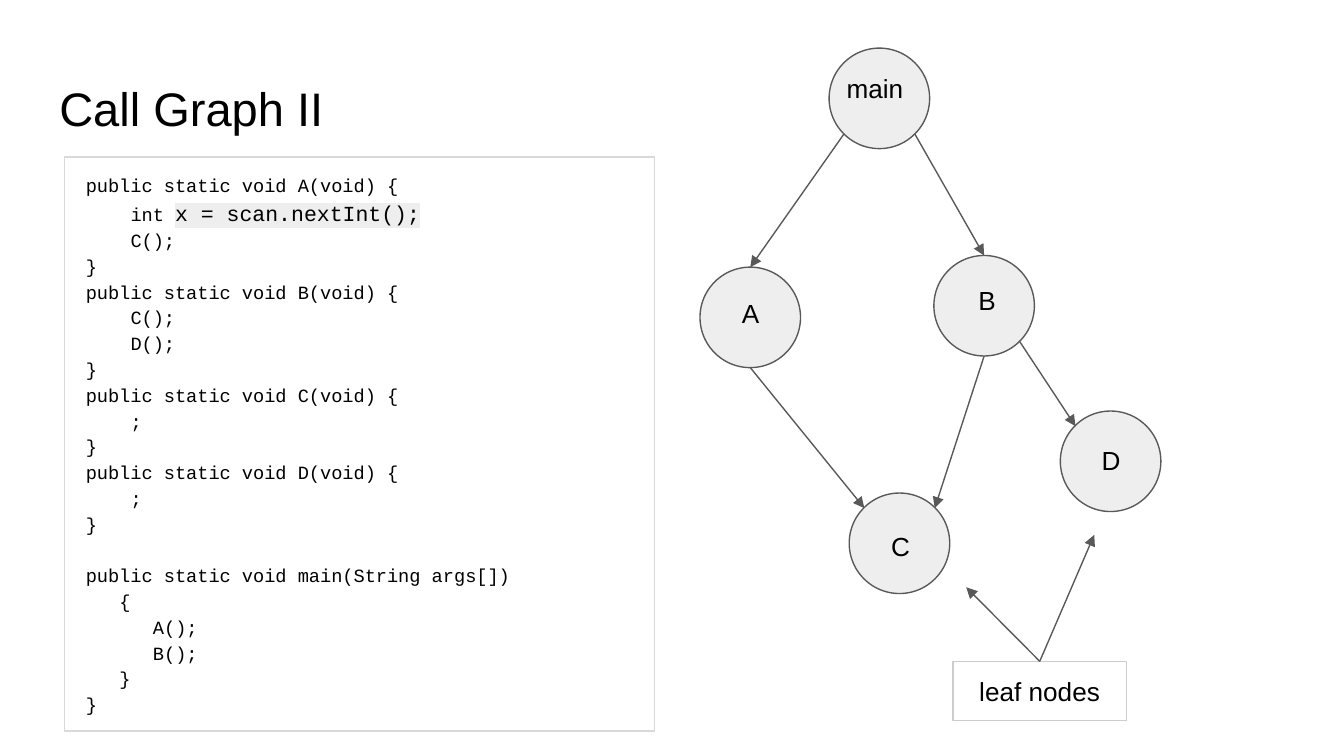
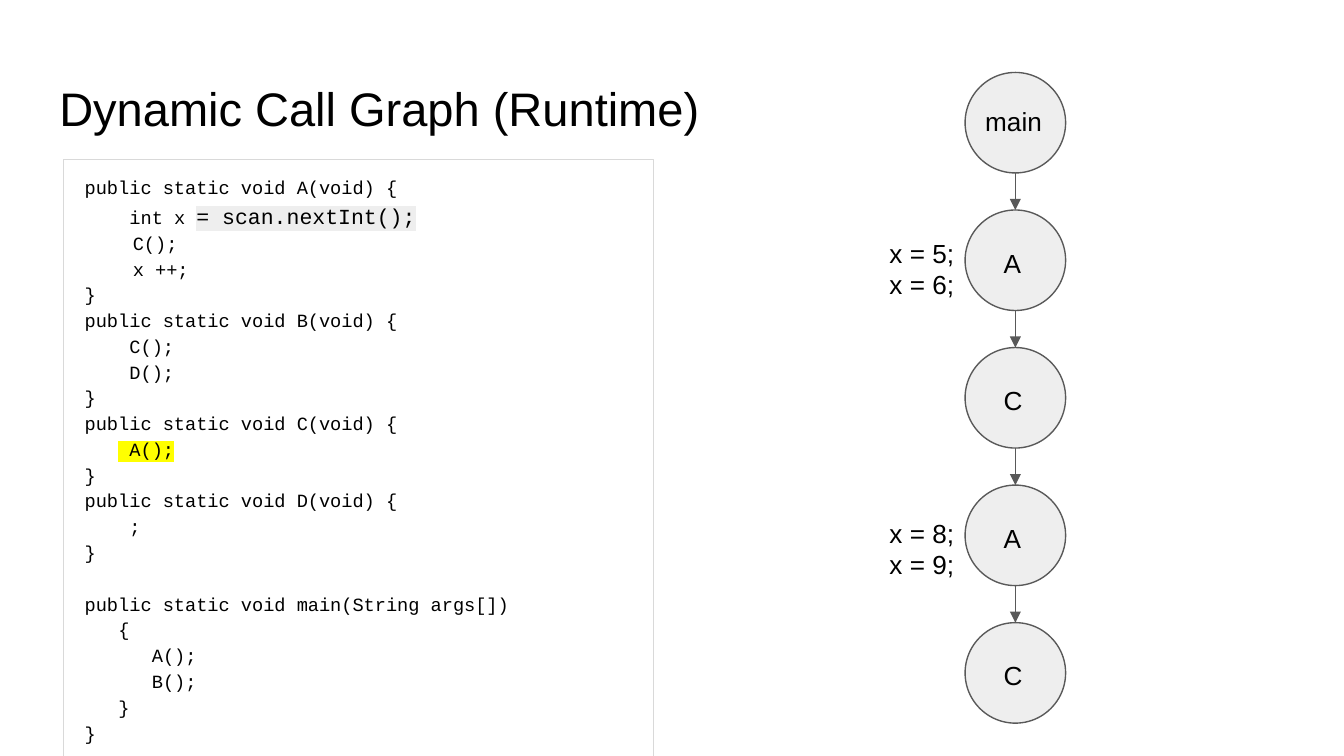
"""Build two slides on static and dynamic call graphs."""
from lxml.etree import SubElement
from pptx import Presentation
from pptx.dml.color import RGBColor as RGB
from pptx.enum.shapes import MSO_CONNECTOR as CONN, MSO_SHAPE as SHAPE
from pptx.enum.text import MSO_ANCHOR as ANCHOR, MSO_AUTO_SIZE as AUTO, PP_ALIGN as ALIGN
from pptx.oxml.ns import qn
from pptx.util import Cm, Pt

COLORS = {"text": "000000", "node": "EEEEEE", "line": "595959", "code": "D9D9D9",
          "leaf": "CCCCCC", "input": "EEEEEE", "recursion": "FFFF00"}
SANS, MONO = "Arial", "Courier New"
NODE, LABEL_W, LABEL_H = 1.9, 1.85, 1.12
CODE_SIZE, CHAR_W, CODE_MARGIN, CODE_GAP = 10, 6, 4.3, 13.9
SITES = {"top": (0.5, 0), "bottom": (0.5, 1), "nw": (0.15, 0.15),
         "ne": (0.85, 0.15), "sw": (0.15, 0.85), "se": (0.85, 0.85)}

# Each code line: column, plain text, then optional marked text and its mark.
MAIN_CODE = [(0, "public static void main(String args[])"), (3, "{"),
             (6, "A();"), (6, "B();"), (3, "}"), (0, "}")]
B_CODE = [(0, "public static void B(void) {"), (4, "C();"), (4, "D();"), (0, "}")]
D_CODE = [(0, "public static void D(void) {"), (4, ";"), (0, "}")]
STATIC_CODE = [
    (0, "public static void A(void) {"),
    (4, "int ", "x = scan.nextInt();", "input"), (4, "C();"), (0, "}"),
    *B_CODE, (0, "public static void C(void) {"), (4, ";"), (0, "}"),
    *D_CODE, *MAIN_CODE]
DYNAMIC_CODE = [
    (0, "public static void A(void) {"),
    (4, "int x ", "= scan.nextInt();", "input"),
    (4.3, "C();"), (4.3, "x ++;"), (0, "}"),
    *B_CODE, (0, "public static void C(void) {"),
    (3, "", " A();", "recursion"), (0, "}"),
    *D_CODE, *MAIN_CODE]

# Each node: left, top, label offset right, label offset down.
STATIC_NODES = {"main": (15.67, 0.91, 0.08, 0.21), "A": (13.23, 5.05, 0.54, 0.33),
                "B": (17.65, 4.83, 0.59, 0.3), "C": (16.05, 9.32, 0.54, 0.46),
                "D": (20.04, 7.77, 0.53, 0.38)}
STATIC_CALLS = [("main", "sw", "A", "top"), ("main", "se", "B", "top"),
                ("A", "bottom", "C", "nw"), ("B", "bottom", "C", "ne"),
                ("B", "se", "D", "nw")]
LEAF_BOX = (18.01, 12.5, 3.28, 1.12)
LEAF_TIPS = [(18.26, 11.1), (20.68, 10.11)]
CALL_STACK = ["main", "A", "C", "A", "C"]
STACK_LEFT, STACK_TOP, STACK_STEP = 18.24, 1.37, 2.6
X_VALUES = [("x = 5;\nx = 6;", 4.24), ("x = 8;\vx = 9;", 9.53)]


def rgb(name):
    return RGB.from_string(COLORS[name])


def style(p, size, font=SANS):
    p.font.size, p.font.name = Pt(size), font
    p.font.color.rgb = rgb("text")


def frame(shape):
    tf = shape.text_frame
    tf.word_wrap, tf.auto_size = True, AUTO.NONE
    tf.margin_left = tf.margin_right = tf.margin_top = tf.margin_bottom = Cm(0.25)
    return tf


def add_shape(s, kind, box, line, fill=None):
    sp = s.shapes.add_shape(kind, *map(Cm, box))
    sp.shadow.inherit = False
    sp.line.color.rgb, sp.line.width = rgb(line), Pt(0.75)
    if fill:
        sp.fill.solid()
        sp.fill.fore_color.rgb = rgb(fill)
    else:
        sp.fill.background()
    return sp


def add_text(s, text, left, top, height=LABEL_H):
    tf = frame(s.shapes.add_textbox(*map(Cm, (left, top, LABEL_W, height))))
    tf.text = text
    for p in tf.paragraphs:
        style(p, 14)


def add_arrow(s, start, end):
    c = s.shapes.add_connector(CONN.STRAIGHT, *map(Cm, (*start, *end)))
    c.line.color.rgb, c.line.width = rgb("line"), Pt(0.75)
    SubElement(c.line._get_or_add_ln(), qn("a:tailEnd"), type="triangle")
    SubElement(c._element.spPr, qn("a:effectLst"))
    return c


def add_node(s, label, left, top, dx, dy):
    sp = add_shape(s, SHAPE.OVAL, (left, top, NODE, NODE), "line", "node")
    add_text(s, label, left + dx, top + dy)
    return sp


def site(left, top, name):
    fx, fy = SITES[name]
    return left + fx * NODE, top + fy * NODE


def add_code(s, lines, box):
    sp = add_shape(s, SHAPE.RECTANGLE, box, "code")
    tf = frame(sp)
    tf.vertical_anchor = ANCHOR.TOP
    for i, (column, plain, *marked) in enumerate(lines):
        p = tf.paragraphs[0] if i == 0 else tf.add_paragraph()
        p.alignment, p.line_spacing = ALIGN.LEFT, 1.15
        style(p, CODE_SIZE, MONO)
        pPr = p._p.get_or_add_pPr()
        pPr.set("marL", str(Pt(CODE_MARGIN + column * CHAR_W)))
        pPr.set("indent", "0")
        if "main(" in plain:
            p.space_before = Pt(CODE_GAP)
        if plain:
            p.add_run().text = plain
        if marked:
            text, mark = marked
            r = p.add_run()
            r.text = text
            if mark == "input":
                r.font.size = Pt(11.5)
            highlight = SubElement(r._r.get_or_add_rPr(), qn("a:highlight"))
            SubElement(highlight, qn("a:srgbClr"), val=COLORS[mark])


def add_slide(prs, title, code, box):
    s = prs.slides.add_slide(prs.slide_layouts[5])
    sp = s.shapes.title
    sp.left, sp.top, sp.width, sp.height = map(Cm, (0.87, 1.24, 23.67, 1.6))
    tf = frame(sp)
    tf.vertical_anchor = ANCHOR.MIDDLE
    tf.text = title
    p = tf.paragraphs[0]
    p.alignment = ALIGN.LEFT
    style(p, 25.2)
    add_code(s, code, box)
    return s


def static_slide(prs):
    s = add_slide(prs, "Call Graph II", STATIC_CODE, (1.22, 2.97, 11.15, 10.85))
    nodes = {name: add_node(s, name, *place) for name, place in STATIC_NODES.items()}
    for caller, out, callee, into in STATIC_CALLS:
        c = add_arrow(s, site(*STATIC_NODES[caller][:2], out),
                      site(*STATIC_NODES[callee][:2], into))
        if into == "top":
            c.end_connect(nodes[callee], 0)
    leaf = add_shape(s, SHAPE.RECTANGLE, LEAF_BOX, "leaf")
    tf = frame(leaf)
    tf.text = "leaf nodes"
    tf.paragraphs[0].alignment = ALIGN.CENTER
    style(tf.paragraphs[0], 14)
    left, top, width, _ = LEAF_BOX
    for tip in LEAF_TIPS:
        add_arrow(s, (left + width / 2, top), tip).begin_connect(leaf, 0)


def dynamic_slide(prs):
    s = add_slide(prs, "Dynamic Call Graph (Runtime)", DYNAMIC_CODE,
                  (1.2, 3.02, 11.15, 11.33))
    for i, name in enumerate(CALL_STACK):
        top = STACK_TOP + i * STACK_STEP
        offset = (0.13, 0.38) if name == "main" else (0.48, 0.45)
        node = add_node(s, name, STACK_LEFT, top, *offset)
        if i:
            c = add_arrow(s, site(STACK_LEFT, top - STACK_STEP, "bottom"),
                          site(STACK_LEFT, top, "top"))
            c.end_connect(node, 0)
    for text, top in X_VALUES:
        add_text(s, text, 16.56, top, 1.7)


def main():
    prs = Presentation()
    prs.slide_width, prs.slide_height = Cm(25.4), Cm(14.29)
    static_slide(prs)
    dynamic_slide(prs)
    prs.save("out.pptx")


if __name__ == "__main__":
    main()
